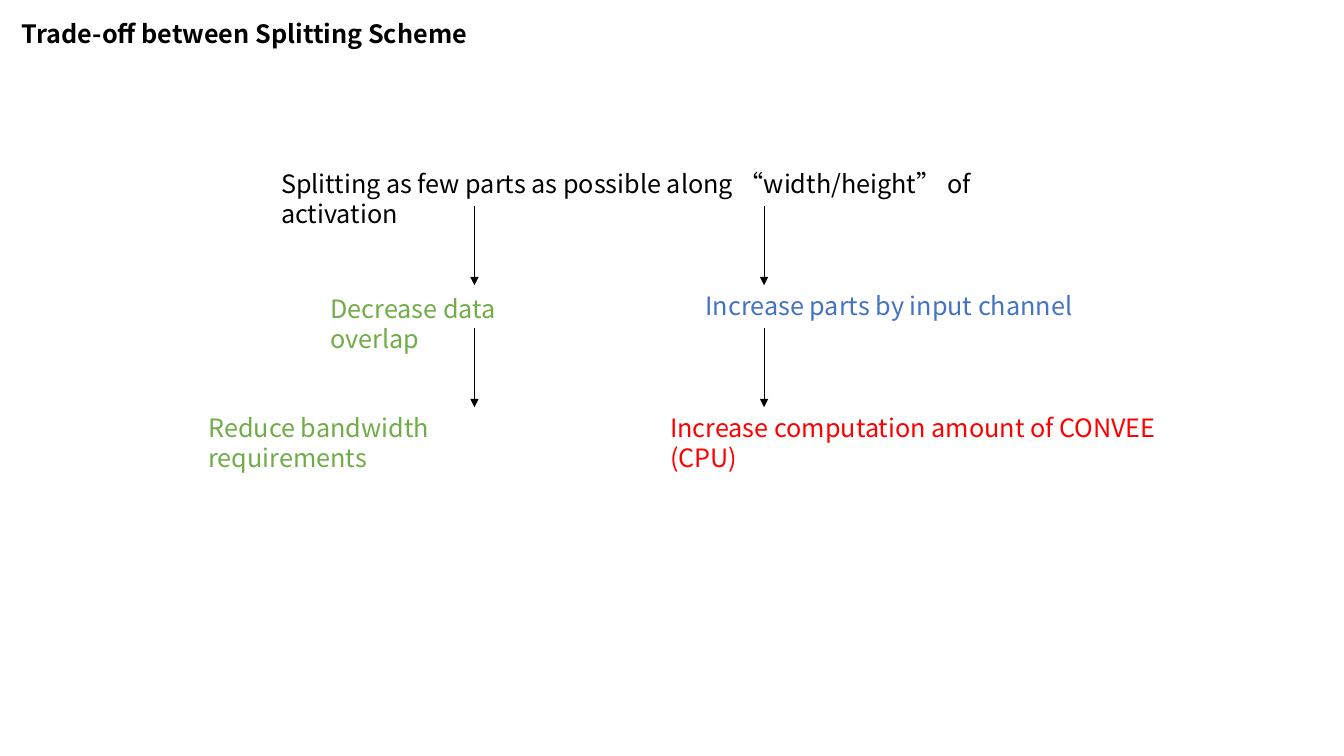
from lxml import etree
from pptx import Presentation
from pptx.dml.color import RGBColor
from pptx.enum.shapes import MSO_CONNECTOR
from pptx.enum.text import MSO_AUTO_SIZE
from pptx.oxml.ns import qn
from pptx.util import Inches, Pt

STRAIGHT = MSO_CONNECTOR.STRAIGHT
GROW = MSO_AUTO_SIZE.SHAPE_TO_FIT_TEXT

BLACK = RGBColor(0x00, 0x00, 0x00)
GREEN = RGBColor(0x70, 0xAD, 0x47)
BLUE = RGBColor(0x44, 0x72, 0xC4)
RED = RGBColor(0xFF, 0x00, 0x00)

COLUMNS, ROWS = 40, 30
LINE_ROWS = 1.6
TOP_ROW, LEVEL_STEP = 6.48, 4.84
ARROW_OFFSET = 1.7
BENEFIT_COLUMN, COST_COLUMN = 14.12, 22.74


def level_row(level):
    return TOP_ROW + level * LEVEL_STEP


class FlowSlide:
    font = "Noto Sans CJK SC"
    size = Pt(18)
    line_width = Pt(0.5)

    def __init__(self, deck):
        self.column = deck.slide_width / COLUMNS
        self.row = deck.slide_height / ROWS
        self.slide = deck.slides.add_slide(deck.slide_layouts[6])

    def x(self, columns):
        return round(columns * self.column)

    def y(self, rows):
        return round(rows * self.row)

    def text(self, wording, column, row, columns, color, rows=LINE_ROWS, bold=False):
        box = self.slide.shapes.add_textbox(
            self.x(column), self.y(row), self.x(columns), self.y(rows))
        frame = box.text_frame
        frame.word_wrap = True
        frame.auto_size = GROW
        run = frame.paragraphs[0].add_run()
        run.text = wording
        run.font.name = self.font
        run.font.size = self.size
        run.font.bold = bold
        run.font.color.rgb = color
        # Curly quotes take their shape from the East Asian font.
        etree.SubElement(run.font._element, qn("a:ea"), typeface=self.font)

    def arrow_down(self, column, level):
        """Link one level of the flow to the next."""
        x = self.x(column)
        arrow = self.slide.shapes.add_connector(
            STRAIGHT, x, self.y(level_row(level) + ARROW_OFFSET),
            x, self.y(level_row(level + 1)))
        arrow.line.width = self.line_width
        arrow.line.color.rgb = BLACK
        etree.SubElement(arrow.line._get_or_add_ln(), qn("a:tailEnd"), type="triangle")
        etree.SubElement(arrow._element.spPr, qn("a:effectLst"))


def main():
    deck = Presentation()
    deck.slide_width, deck.slide_height = Inches(13.33), Inches(7.5)
    flow = FlowSlide(deck)

    flow.text("Trade-off between Splitting Scheme", 0.36, 0.52, 13.9, BLACK, bold=True)
    flow.text("Splitting as few parts as possible along “width/height” of activation",
              8.07, level_row(0), 22.8, BLACK)
    flow.text("Decrease data overlap", 9.54, level_row(1) + 0.12, 8.04, GREEN)
    flow.text("Increase parts by input channel", 20.7, level_row(1), 13.11, BLUE)
    flow.text("Reduce bandwidth requirements", 5.91, level_row(2), 11.64, GREEN)
    flow.text("Increase computation amount of CONVEE (CPU)",
              19.65, level_row(2), 15.9, RED, rows=2.84)

    for column in (BENEFIT_COLUMN, COST_COLUMN):
        for level in range(2):
            flow.arrow_down(column, level)

    deck.save("out.pptx")


if __name__ == "__main__":
    main()
